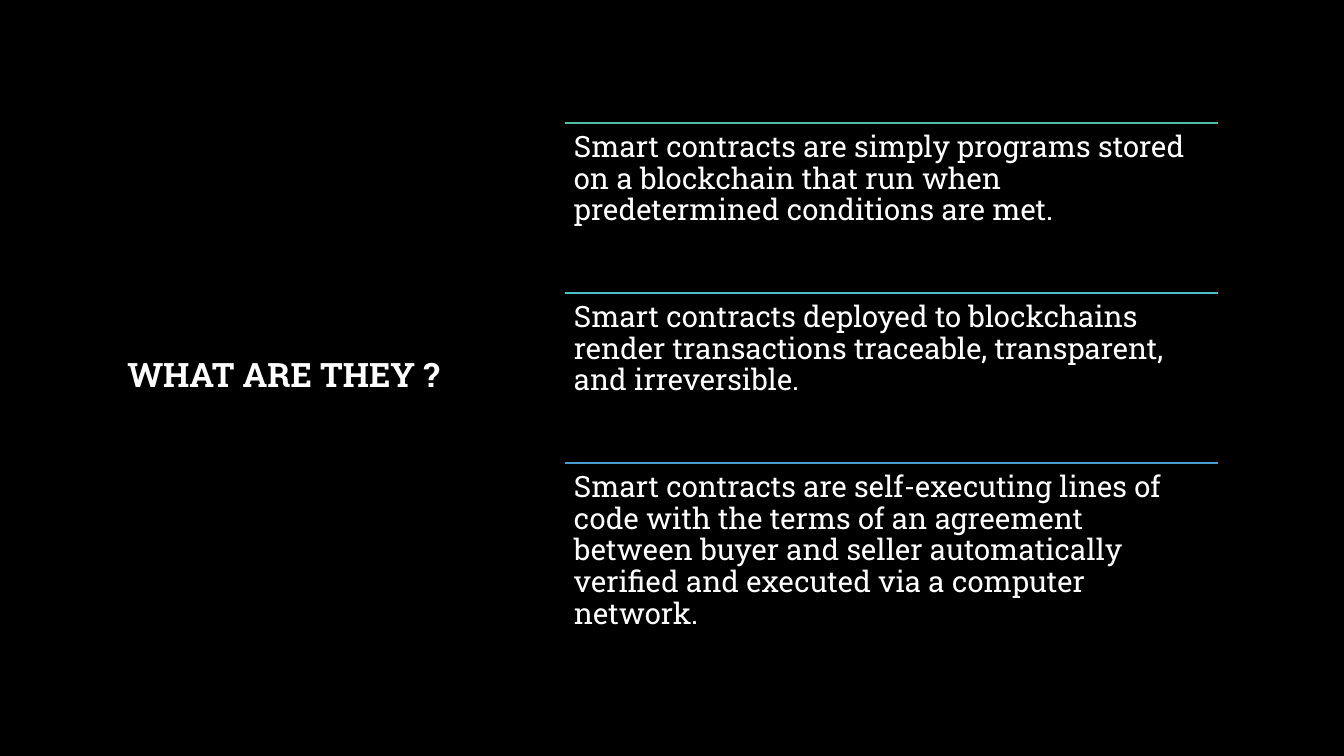
from lxml.etree import SubElement as Sub
from pptx import Presentation
from pptx.dml.color import RGBColor as RGB
from pptx.enum.shapes import MSO_CONNECTOR as Link
from pptx.enum.text import MSO_ANCHOR as Anchor, MSO_AUTO_SIZE as Fit, PP_ALIGN as Align
from pptx.oxml.ns import qn
from pptx.util import Pt

BLACK = RGB(0x00, 0x00, 0x00)
WHITE = RGB(0xFF, 0xFF, 0xFF)
GREEN = RGB(0x50, 0xBE, 0xA3)
TEAL = RGB(0x4D, 0xBE, 0xC5)
BLUE = RGB(0x4A, 0x9C, 0xCC)

WIDE, HIGH = 1344, 756
SCALE = 12192000 / WIDE  # EMU in one px

FACTS = [
    (GREEN, "Smart contracts are simply programs stored on a blockchain "
            "that run when predetermined conditions are met."),
    (TEAL, "Smart contracts deployed to blockchains render transactions "
           "traceable, transparent, and irreversible."),
    (BLUE, "Smart contracts are self-executing lines of code with the terms "
           "of an agreement between buyer and seller automatically verified "
           "and executed via a computer network."),
]


def px(*nums):
    return [round(n * SCALE) for n in nums]


class Page:
    font = "Roboto Slab"

    def __init__(self, deck):
        self.slide = deck.slides.add_slide(deck.slide_layouts[5])
        fill = self.slide.background.fill
        fill.solid()
        fill.fore_color.rgb = BLACK

    def words(self, frame, text, size, bold=False, align=Align.LEFT):
        frame.word_wrap = True
        frame.auto_size = Fit.NONE
        para = frame.paragraphs[0]
        para.alignment = align
        para.line_spacing = 0.9
        run = para.add_run()
        run.text = text
        font = run.font
        font.name, font.size, font.bold = self.font, Pt(size), bold
        font.color.rgb = WHITE

    def title(self, text, x, y, w, h):
        head = self.slide.shapes.title
        head.left, head.top, head.width, head.height = px(x, y, w, h)
        head.text_frame.vertical_anchor = Anchor.MIDDLE
        self.words(head.text_frame, text, 24, True, Align.CENTER)

    def rule(self, x, y, w, color):
        line = self.slide.shapes.add_connector(Link.STRAIGHT, *px(x, y, x + w, y))
        line.line.color.rgb = color
        line.line.width = Pt(1)
        Sub(line._element.spPr, qn("a:effectLst"))

    def text(self, text, x, y, w, h):
        frame = self.slide.shapes.add_textbox(*px(x, y, w, h)).text_frame
        inset, = px(9)
        frame.margin_left = frame.margin_right = inset
        frame.margin_top = frame.margin_bottom = inset
        self.words(frame, text, 21)


def main():
    deck = Presentation()
    deck.slide_width, deck.slide_height = px(WIDE, HIGH)
    page = Page(deck)

    # Heading on the left
    page.title("WHAT ARE THEY ?", 83, 68, 401, 618)

    # Ruled facts on the right
    left, top, width, step = 565, 123, 653, 170
    for i, (color, fact) in enumerate(FACTS):
        y = top + i * step
        page.rule(left, y, width, color)
        page.text(fact, left, y, width, step)

    deck.save("out.pptx")


if __name__ == "__main__":
    main()
